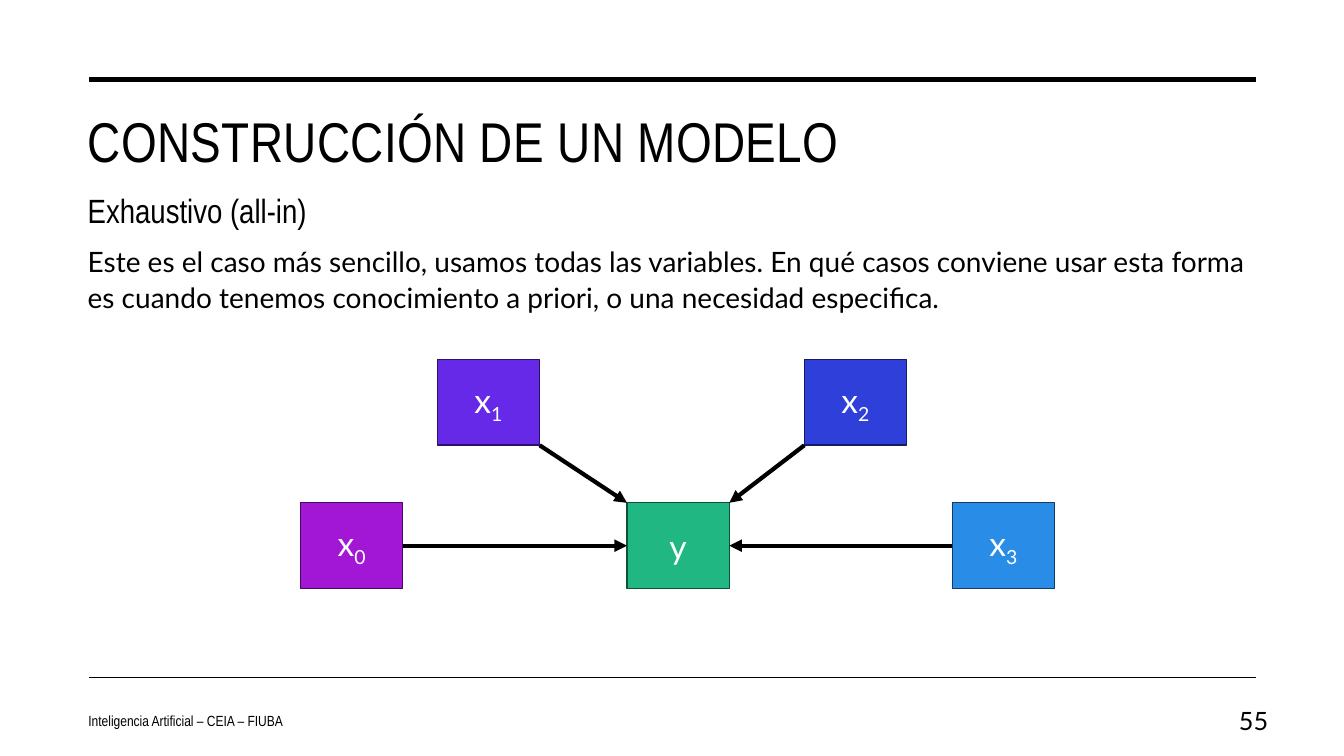
import pptx
import pptx.dml.color
import pptx.enum.shapes
import pptx.enum.text
import pptx.oxml.ns
import pptx.util
from lxml import etree

Cm = pptx.util.Cm
Pt = pptx.util.Pt
RGBColor = pptx.dml.color.RGBColor
PP_ALIGN = pptx.enum.text.PP_ALIGN
MSO_ANCHOR = pptx.enum.text.MSO_ANCHOR
qn = pptx.oxml.ns.qn

BLACK = RGBColor(0x00, 0x00, 0x00)
WHITE = RGBColor(0xFF, 0xFF, 0xFF)
GREEN, GREEN_EDGE = RGBColor(0x21, 0xB7, 0x82), RGBColor(0x0E, 0x50, 0x39)
PURPLE, PURPLE_EDGE = RGBColor(0xA2, 0x17, 0xD5), RGBColor(0x47, 0x0A, 0x5D)
VIOLET, VIOLET_EDGE = RGBColor(0x65, 0x29, 0xE7), RGBColor(0x2C, 0x12, 0x65)
INDIGO, INDIGO_EDGE = RGBColor(0x2E, 0x40, 0xD9), RGBColor(0x14, 0x1C, 0x5F)
BLUE, BLUE_EDGE = RGBColor(0x29, 0x8C, 0xE7), RGBColor(0x12, 0x3D, 0x65)

presentation = pptx.Presentation()
presentation.slide_width = Cm(33.87)
presentation.slide_height = Cm(19.05)
slide = presentation.slides.add_slide(presentation.slide_layouts[6])


def add_run(paragraph, text, font_name, size, color):
    run = paragraph.add_run()
    run.text = text
    run.font.name = font_name
    run.font.size = Pt(size)
    run.font.color.rgb = color
    return run


def add_line(start_x, start_y, end_x, end_y, width):
    line = slide.shapes.add_connector(
        pptx.enum.shapes.MSO_CONNECTOR.STRAIGHT,
        Cm(start_x), Cm(start_y), Cm(end_x), Cm(end_y))
    line.line.color.rgb = BLACK
    line.line.width = Pt(width)
    etree.SubElement(line._element.spPr, qn("a:effectLst"))
    return line


# Rules above the title and above the footer
for rule_y, rule_width in ((2.01, 3.5), (17.07, 1)):
    add_line(2.24, rule_y, 31.65, rule_y, rule_width)

# Title, subtitle, body, footer and slide number
TOP, MIDDLE = MSO_ANCHOR.TOP, MSO_ANCHOR.MIDDLE
LEFT, RIGHT = PP_ALIGN.LEFT, PP_ALIGN.RIGHT
texts = [
    ("CONSTRUCCIÓN DE UN MODELO", 1.96, 2.57, 29.69, 1.9, "Arial Narrow", 40, TOP, LEFT),
    ("Exhaustivo (all-in)", 1.96, 4.67, 21.36, 1.27, "Arial Narrow", 24, TOP, LEFT),
    ("Este es el caso más sencillo, usamos todas las variables. En qué casos conviene "
     "usar esta forma es cuando tenemos conocimiento a priori, o una necesidad especifica.",
     1.96, 5.94, 30.25, 2.6, "Lato", 20, TOP, LEFT),
    ("Inteligencia Artificial – CEIA – FIUBA",
     1.98, 17.65, 12.6, 1.02, "Arial Narrow", 10.5, MIDDLE, LEFT),
    ("55", 30.33, 17.65, 1.88, 1.02, "Lato", 18, MIDDLE, RIGHT),
]
for text, left, top, width, height, font_name, size, anchor, alignment in texts:
    box = slide.shapes.add_textbox(Cm(left), Cm(top), Cm(width), Cm(height))
    box.text_frame.word_wrap = True
    box.text_frame.vertical_anchor = anchor
    paragraph = box.text_frame.paragraphs[0]
    paragraph.alignment = alignment
    run = add_run(paragraph, text, font_name, size, BLACK)
    if size == 40:
        run._r.get_or_add_rPr().set("spc", "30")
    if size == 20:
        paragraph.line_spacing = 1.1

# Variable boxes around the target y
BOX_WIDTH, BOX_HEIGHT = 2.58, 2.16
UPPER, LOWER = 9.06, 12.67
X0, X1, Y, X2, X3 = 7.57, 11.02, 15.8, 20.27, 24.0
variables = [
    ("y", "", Y, LOWER, GREEN, GREEN_EDGE),
    ("x", "0", X0, LOWER, PURPLE, PURPLE_EDGE),
    ("x", "3", X3, LOWER, BLUE, BLUE_EDGE),
    ("x", "1", X1, UPPER, VIOLET, VIOLET_EDGE),
    ("x", "2", X2, UPPER, INDIGO, INDIGO_EDGE),
]
boxes = {}
for letter, index, left, top, fill, edge in variables:
    shape = slide.shapes.add_shape(
        pptx.enum.shapes.MSO_SHAPE.RECTANGLE,
        Cm(left), Cm(top), Cm(BOX_WIDTH), Cm(BOX_HEIGHT))
    shape.shadow.inherit = False
    shape.fill.solid()
    shape.fill.fore_color.rgb = fill
    shape.line.color.rgb = edge
    shape.line.width = Pt(1)
    shape.text_frame.vertical_anchor = MIDDLE
    paragraph = shape.text_frame.paragraphs[0]
    paragraph.alignment = PP_ALIGN.CENTER
    add_run(paragraph, letter, "Lato", 24, WHITE)
    if index:
        subscript = add_run(paragraph, index, "Lato", 24, WHITE)
        subscript._r.get_or_add_rPr().set("baseline", "-25000")
    boxes[letter + index] = shape

# Arrows from each variable to y: sides are joined, corners are placed
middle = LOWER + BOX_HEIGHT / 2
upper_bottom = UPPER + BOX_HEIGHT
y_right = Y + BOX_WIDTH
arrows = [
    (X0 + BOX_WIDTH, middle, Y, middle, "x0", 3, 1),
    (X1 + BOX_WIDTH, upper_bottom, Y, LOWER, None, None, None),
    (X2, upper_bottom, y_right, LOWER, None, None, None),
    (X3, middle, y_right, middle, "x3", 1, 3),
]
for start_x, start_y, end_x, end_y, source, source_side, target_side in arrows:
    arrow = add_line(start_x, start_y, end_x, end_y, 3)
    etree.SubElement(arrow.line._get_or_add_ln(), qn("a:tailEnd"), type="triangle")
    if source:
        arrow.begin_connect(boxes[source], source_side)
        arrow.end_connect(boxes["y"], target_side)

presentation.save("out.pptx")
